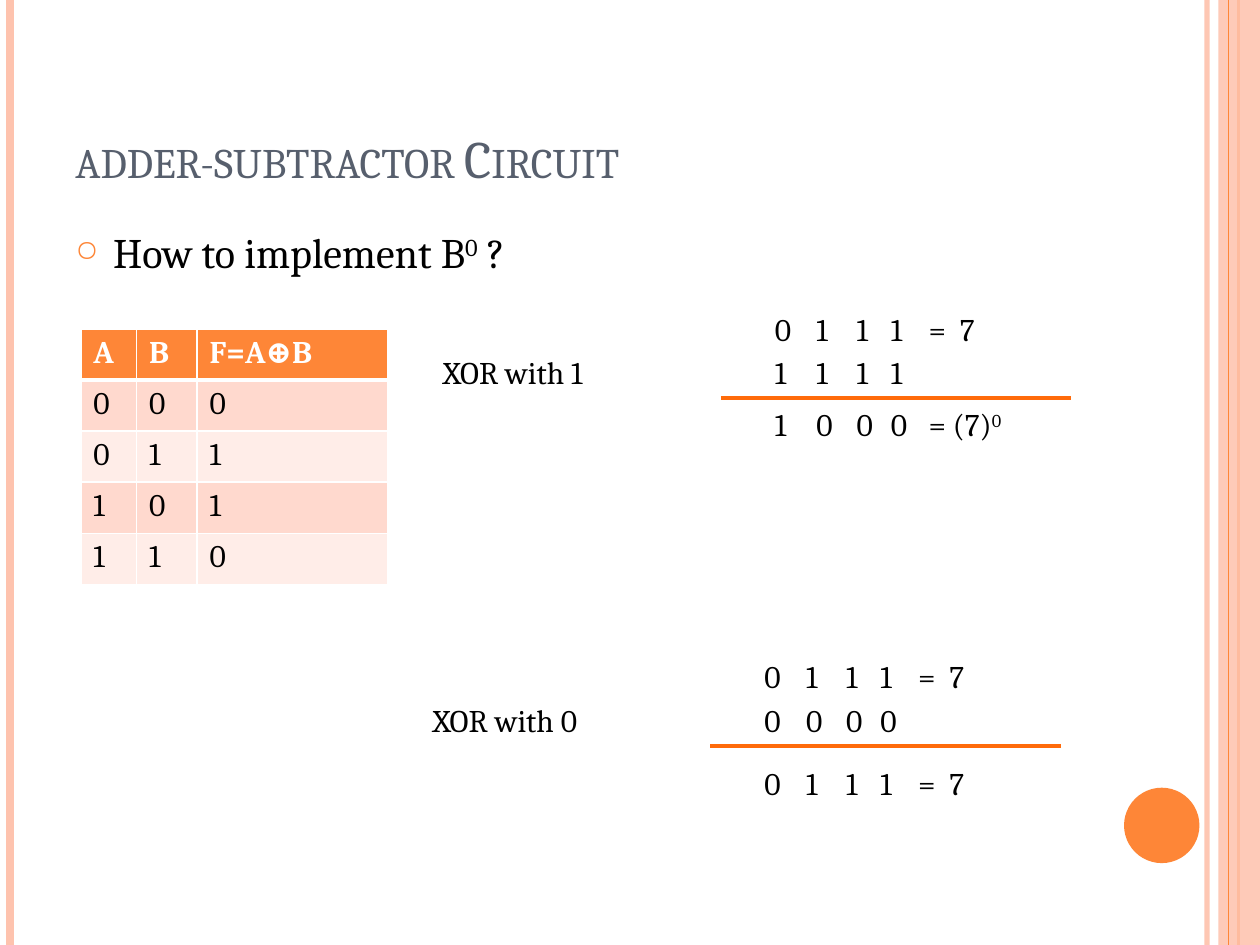
from lxml.etree import SubElement as Sub
from pptx import Presentation
from pptx.dml.color import RGBColor as RGB
from pptx.enum.shapes import MSO_CONNECTOR as Conn, MSO_SHAPE as Shape
from pptx.enum.text import MSO_ANCHOR as Anchor
from pptx.oxml.ns import qn
from pptx.util import Cm, Pt

BLACK = RGB(0x00, 0x00, 0x00)
WHITE = RGB(0xFF, 0xFF, 0xFF)
SLATE = RGB(0x57, 0x5F, 0x6D)
ORANGE = RGB(0xFE, 0x86, 0x37)
RULE = RGB(0xFF, 0x6B, 0x0A)
PEACH = RGB(0xFE, 0xC3, 0xAE)
BANDS = [RGB(0xFF, 0xD9, 0xCE), RGB(0xFF, 0xED, 0xE8)]
FONT = "Cambria"
WIDE, HIGH = 25.4, 19.05

TITLE = "adder-subtractor Circuit"
ASK = [("How to implement B", False), ("0", True), (" ?", False)]

TRUTH = [
    ("A", "B", "F=A⊕B"),
    ("0", "0", "0"),
    ("0", "1", "1"),
    ("1", "0", "1"),
    ("1", "1", "0"),
]
COLS = [1.12, 1.22, 3.84]
ROW = 1.03

SEVEN = ["0", "1", "1", "1", "=", "7"]
# Each sum: left, top, label, first row, second row, result, raised end, result offset
SUMS = [
    (15.37, 6.12, "XOR with 1", SEVEN, ["1"] * 4,
     ["1", "0", "0", "0", "= (7)"], "0", 1.93),
    (15.16, 13.13, "XOR with 0", SEVEN, ["0"] * 4, SEVEN, "", 2.14),
]
STOPS = [0.84, 1.65, 2.34, 3.1, 3.73]

# Edge lines: x, colour, width, opacity in percent
UNDER = [(24.33, PEACH, 3, 93), (0.21, PEACH, 4.5, 100), (24.97, ORANGE, 1.5, 100)]
OVER = (24.77, ORANGE, 0.75, 100)

prs = Presentation()
prs.slide_width, prs.slide_height = Cm(WIDE), Cm(HIGH)
slide = prs.slides.add_slide(prs.slide_layouts[6])
shapes = slide.shapes


def fade(fill, pct):
    """Set the opacity of a solid fill's colour element."""
    Sub(fill.find(qn("a:srgbClr")), qn("a:alpha"), val=str(pct * 1000))


def line(x1, y1, x2, y2, color, width, pct=100):
    item = shapes.add_connector(Conn.STRAIGHT, Cm(x1), Cm(y1), Cm(x2), Cm(y2))
    item.line.color.rgb = color
    item.line.width = Pt(width)
    props = item._element.spPr
    if pct < 100:
        fade(props.find(qn("a:ln")).find(qn("a:solidFill")), pct)
    Sub(props, qn("a:effectLst"))


def solid(kind, x, y, w, h, color, pct=100):
    item = shapes.add_shape(kind, Cm(x), Cm(y), Cm(w), Cm(h))
    item.shadow.inherit = False
    item.fill.solid()
    item.fill.fore_color.rgb = color
    item.line.fill.background()
    if pct < 100:
        fade(item._element.spPr.find(qn("a:solidFill")), pct)


def write(para, text, size, color=BLACK, bold=False, high=False):
    run = para.add_run()
    run.text = text
    font = run.font
    font.name, font.size, font.bold = FONT, Pt(size), bold
    font.color.rgb = color
    if high:
        font._element.set("baseline", "30000")
    return run


def box(x, y, w, h):
    """Add a wrapping text box; return its frame and first paragraph."""
    frame = shapes.add_textbox(Cm(x), Cm(y), Cm(w), Cm(h)).text_frame
    frame.word_wrap = True
    return frame, frame.paragraphs[0]


def digits(x, y, parts, high=""):
    """Write one row of a sum, its parts set on tab stops."""
    para = box(x, y, 6.48, 1.02)[1]
    tabs = Sub(para._p.get_or_add_pPr(), qn("a:tabLst"))
    for stop in STOPS:
        Sub(tabs, qn("a:tab"), pos=str(Cm(stop)), algn="l")
    write(para, "\t".join(parts), 18)
    if high:
        write(para, high, 18, high=True)


def border(cell, row):
    props = cell._tc.get_or_add_tcPr()
    thick = {"T": row == 1, "B": row == 0}
    for side in "LRTB":
        width = Pt(3 if thick.get(side) else 1)
        edge = Sub(props, qn("a:ln" + side), w=str(width))
        Sub(Sub(edge, qn("a:solidFill")), qn("a:srgbClr"), val=str(WHITE))


def truth_table():
    grid = shapes.add_table(len(TRUTH), len(COLS), Cm(1.63), Cm(6.63),
                            Cm(sum(COLS)), Cm(ROW * len(TRUTH))).table
    for col, width in zip(grid.columns, COLS):
        col.width = Cm(width)
    for r, texts in enumerate(TRUTH):
        grid.rows[r].height = Cm(ROW)
        head = r == 0
        for c, text in enumerate(texts):
            cell = grid.cell(r, c)
            border(cell, r)
            cell.fill.solid()
            cell.fill.fore_color.rgb = ORANGE if head else BANDS[(r - 1) % 2]
            write(cell.text_frame.paragraphs[0], text, 18,
                  WHITE if head else BLACK, head)


def question():
    para = box(1.27, 4.45, 20.75, 2)[1]
    para.space_before = Pt(6)
    props = para._p.get_or_add_pPr()
    props.set("marL", str(Cm(0.76)))
    props.set("indent", str(Cm(-0.76)))
    Sub(Sub(props, qn("a:buClr")), qn("a:srgbClr"), val=str(ORANGE))
    Sub(props, qn("a:buSzPct"), val="70000")
    Sub(props, qn("a:buChar"), char="○")
    for text, high in ASK:
        write(para, text, 24, high=high)


for x, *look in UNDER:
    line(x, 0, x, HIGH, *look)
solid(Shape.RECTANGLE, 24.56, 0, 0.84, HIGH, PEACH, 87)
x, *look = OVER
line(x, 0, x, HIGH, *look)
solid(Shape.OVAL, 22.66, 15.88, 1.52, 1.52, ORANGE)

frame, para = box(1.27, 0.76, 20.75, 3.18)
frame.vertical_anchor = Anchor.BOTTOM
write(para, TITLE, 30, SLATE).font._element.set("cap", "small")
question()
truth_table()

for x, y, label, first, second, result, high, drop in SUMS:
    digits(x, y, first)
    digits(x, y + 0.87, second)
    line(x - 0.84, y + 1.91, x + 6.22, y + 1.91, RULE, 2.25)
    digits(x, y + drop, result, high)
    write(box(x - 6.69, y + 0.87, 4.01, 1.02)[1], label, 18)

prs.save("out.pptx")
